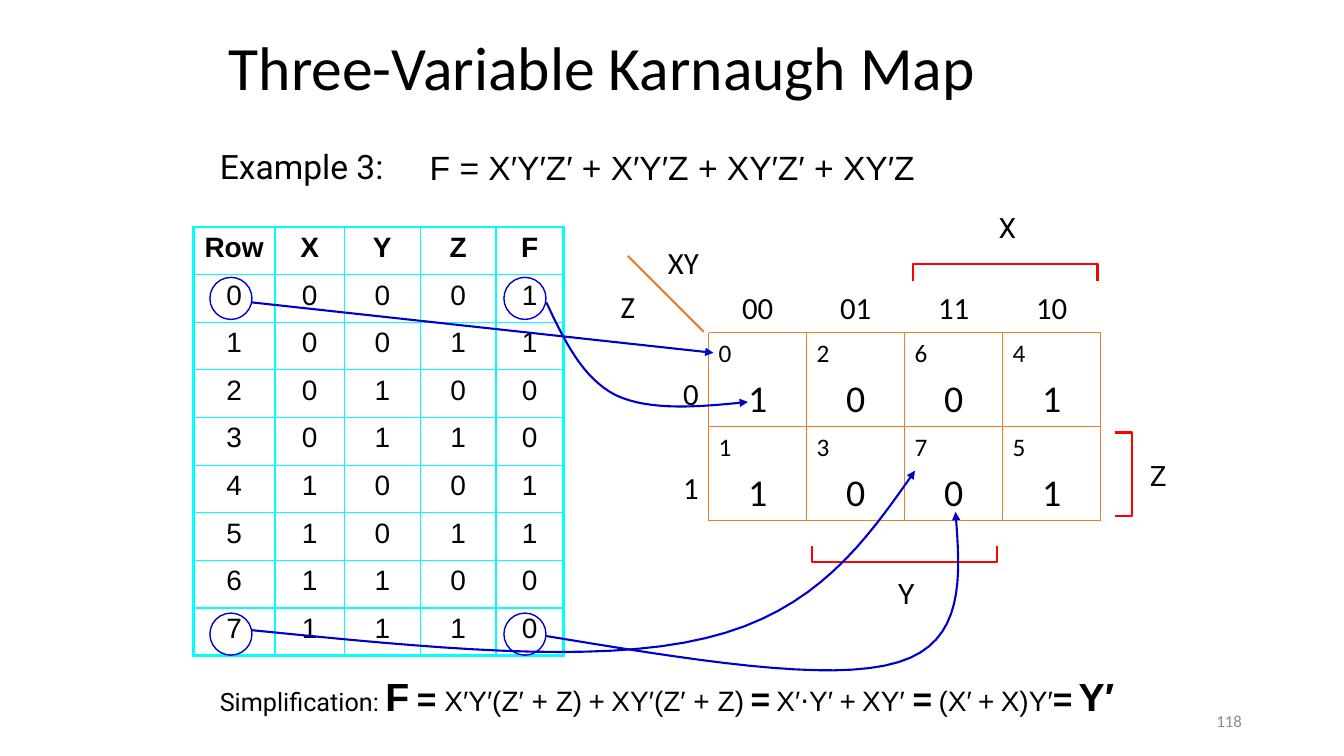
from lxml import etree
from pptx import Presentation
from pptx.dml.color import RGBColor
from pptx.enum.shapes import MSO_CONNECTOR, MSO_SHAPE
from pptx.enum.text import MSO_ANCHOR, MSO_AUTO_SIZE, PP_ALIGN
from pptx.oxml.ns import qn
from pptx.util import Cm, Pt

LEFT, CENTER, RIGHT = PP_ALIGN.LEFT, PP_ALIGN.CENTER, PP_ALIGN.RIGHT
STRAIGHT, OVAL = MSO_CONNECTOR.STRAIGHT, MSO_SHAPE.OVAL
BOTTOM, MIDDLE = MSO_ANCHOR.BOTTOM, MSO_ANCHOR.MIDDLE
NO_AUTOFIT = MSO_AUTO_SIZE.NONE
BLACK, GREY, CYAN, ORANGE, RED, BLUE = (
    "000000", "8C8C8C", "00FFFF", "ED7D31", "FF0000", "0000CC")
color = RGBColor.from_string

deck = Presentation()
deck.slide_width, deck.slide_height = Cm(33.87), Cm(19.05)
page = deck.slides.add_slide(deck.slide_layouts[5])


def add_text(left, top, width, height, paragraphs, font="Calibri", ink=BLACK):
    """Add a text box; each paragraph is (alignment, [(text, size, bold, font)])."""
    box = page.shapes.add_textbox(Cm(left), Cm(top), Cm(width), Cm(height))
    frame = box.text_frame
    frame.word_wrap = True
    for number, (align, runs) in enumerate(paragraphs):
        para = frame.paragraphs[0] if number == 0 else frame.add_paragraph()
        para.alignment = align
        if number:
            para.space_before = Pt(5)
        for text, size, *style in runs:
            span = para.add_run()
            span.text = text
            span.font.size = Pt(size)
            span.font.bold = style[0] if style else False
            span.font.name = style[1] if len(style) > 1 else font
            span.font.color.rgb = color(ink)
    return frame


def draw_line(points, ink, width, arrow=False):
    """Draw a connector through two points, or an open outline through more."""
    points = [(Cm(x), Cm(y)) for x, y in points]
    if len(points) == 2:
        line = page.shapes.add_connector(STRAIGHT, *points[0], *points[1])
        etree.SubElement(line._element.spPr, qn("a:effectLst"))
    else:
        builder = page.shapes.build_freeform(*points[0], scale=1.0)
        builder.add_line_segments(points[1:], close=False)
        line = builder.convert_to_shape()
        line.fill.background()
        line.shadow.inherit = False
    line.line.color.rgb = color(ink)
    line.line.width = Pt(width)
    if arrow:
        etree.SubElement(line.line._get_or_add_ln(), qn("a:tailEnd"), type="triangle")


# Title
title = page.shapes.title
title.left, title.top, title.width, title.height = Cm(5.51), Cm(0.76), Cm(22.86), Cm(1.98)
title.text_frame.auto_size = NO_AUTOFIT
title.text_frame.vertical_anchor = BOTTOM
para = title.text_frame.paragraphs[0]
para.alignment, para.line_spacing = LEFT, 0.9
span = para.add_run()
span.text = "Three-Variable Karnaugh Map"
span.font.size, span.font.name = Pt(44), "Calibri"
span.font.color.rgb = color(BLACK)

# Example and its simplification
add_text(5.29, 3.56, 4.7, 1.27, [(LEFT, [("Example 3:", 24)])], "Roboto")
add_text(10.58, 3.58, 13.34, 1.27,
         [(LEFT, [("F = X′Y′Z′ + X′Y′Z + XY′Z′ + XY′Z", 24)])], "Arial")
gap = (" ", 18, False, "Roboto")
equals = ("=", 24, True)
plus = [gap, ("+", 20), gap]
simplification = [
    ("Simplification: ", 18, False, "Roboto"), ("F", 28, True), (" ", 20), equals,
    (" X′Y′(Z′ + Z)", 20), *plus, ("XY′(Z′ + Z)", 20), gap, equals, gap,
    ("X′⋅Y′", 20), *plus, ("XY′ ", 20), equals, gap,
    ("(X′", 20), *plus, ("X)Y′", 20), equals, gap, ("Y′", 28, True)]
add_text(5.29, 16.81, 23.75, 1.45, [(LEFT, simplification)], "Arial")

# Truth table
outputs = "11001100"
rows = [["Row", "X", "Y", "Z", "F"]]
rows += [[str(n), *f"{n:03b}", outputs[n]] for n in range(8)]
widths = [2.06, 1.75, 1.91, 1.91, 1.7]
table = page.shapes.add_table(9, 5, Cm(4.87), Cm(5.72), Cm(sum(widths)), Cm(10.8)).table
table.first_row = table.horz_banding = False
for column, width in zip(table.columns, widths):
    column.width = Cm(width)
for r, values in enumerate(rows):
    table.rows[r].height = Cm(1.2)
    for c, value in enumerate(values):
        cell = table.cell(r, c)
        edges = {"L": c == 0, "R": c == 4, "T": r == 0, "B": r == 8}
        for side, outer in edges.items():
            border = etree.SubElement(cell._tc.get_or_add_tcPr(), qn(f"a:ln{side}"),
                                      w=str(Pt(2.25 if outer else 1)))
            fill = etree.SubElement(border, qn("a:solidFill"))
            etree.SubElement(fill, qn("a:srgbClr"), val=CYAN)
        cell.fill.background()
        para = cell.text_frame.paragraphs[0]
        para.alignment = CENTER
        span = para.add_run()
        span.text = value
        span.font.size, span.font.name, span.font.bold = Pt(20), "Arial", r == 0
        span.font.color.rgb = color(BLACK)

# Karnaugh map: cells and headings
map_left, map_top, cell_width, cell_height = 17.86, 8.38, 2.47, 2.37
map_right, map_bottom = map_left + 4 * cell_width, map_top + 2 * cell_height
label_left, head_top = map_left - cell_width, map_top - cell_height
for c, code in enumerate(["00", "01", "11", "10"]):
    left = map_left + c * cell_width
    head = add_text(left, head_top, cell_width, cell_height, [(CENTER, [(code, 22)])])
    head.vertical_anchor = BOTTOM
    head.margin_bottom = Cm(0.18)
    for r in range(2):
        minterm = int(code, 2) * 2 + r
        add_text(left, map_top + r * cell_height, cell_width, cell_height,
                 [(LEFT, [(str(minterm), 18)]), (CENTER, [(outputs[minterm], 27)])])
for r in range(2):
    label = add_text(label_left, map_top + r * cell_height, cell_width, cell_height,
                     [(RIGHT, [(str(r), 22)])])
    label.paragraphs[0].line_spacing = 2.0
add_text(label_left, head_top, cell_width, cell_height,
         [(RIGHT, [("XY", 22)]), (LEFT, [("Z", 22)])])

# Karnaugh map: grid and diagonal
for c in range(5):
    x = map_left + c * cell_width
    draw_line([(x, map_top), (x, map_bottom)], ORANGE, 1)
for r in range(3):
    y = map_top + r * cell_height
    draw_line([(map_left, y), (map_right, y)], ORANGE, 1)
draw_line([(15.82, 6.45), (17.73, 8.36)], ORANGE, 1.5)

# Brackets for the variables
brackets = [
    ("X", 24.92, 5.18, [(23.01, 7.09), (23.01, 6.65), (27.66, 6.65), (27.66, 7.09)]),
    ("Z", 28.73, 11.43, [(28.09, 10.9), (28.52, 10.9), (28.52, 13), (28.09, 13)]),
    ("Y", 22.38, 14.4, [(25.12, 13.77), (25.12, 14.17), (20.47, 14.17), (20.47, 13.77)])]
for variable, left, top, outline in brackets:
    draw_line(outline, RED, 1.5)
    add_text(left, top, 0.91, 1.09, [(LEFT, [(variable, 20)])], "Roboto")

# Circles around the first and last table rows
for top in (6.99, 15.45):
    for left in (5.29, 12.7):
        circle = page.shapes.add_shape(OVAL, Cm(left), Cm(top), Cm(1.06), Cm(1.06))
        circle.shadow.inherit = False
        circle.fill.background()
        circle.line.color.rgb = color(BLUE)
        circle.line.width = Pt(1)

# Arrows from table to map; each curve is two joined cubic Bézier arcs
draw_line([(6.35, 7.62), (17.98, 8.89)], BLUE, 1.5, arrow=True)
curves = [
    [(13.77, 7.62), (14.22, 8.58), (14.68, 9.53), (15.52, 9.96),
     (16.38, 10.36), (17.6, 10.26), (18.85, 10.13)],
    [(6.35, 15.88), (10.67, 16.31), (14.99, 16.76), (17.78, 16.08),
     (20.57, 15.42), (21.82, 13.64), (23.06, 11.86)],
    [(13.77, 16.03), (17.32, 16.61), (20.9, 17.22), (22.63, 16.69),
     (24.33, 16.18), (24.21, 14.55), (24.08, 12.9)]]
steps = 16
for controls in curves:
    points = [controls[0]]
    for arc in (controls[:4], controls[3:]):
        for step in range(1, steps + 1):
            t = step / steps
            weights = [(1 - t) ** 3, 3 * t * (1 - t) ** 2, 3 * t ** 2 * (1 - t), t ** 3]
            points.append(tuple(sum(w * p[axis] for w, p in zip(weights, arc))
                                for axis in (0, 1)))
    draw_line(points, BLUE, 1.5, arrow=True)

# Page number
number = add_text(23.93, 17.65, 7.62, 1.02, [(RIGHT, [("118", 12)])], ink=GREY)
number.vertical_anchor = MIDDLE

deck.save("out.pptx")
